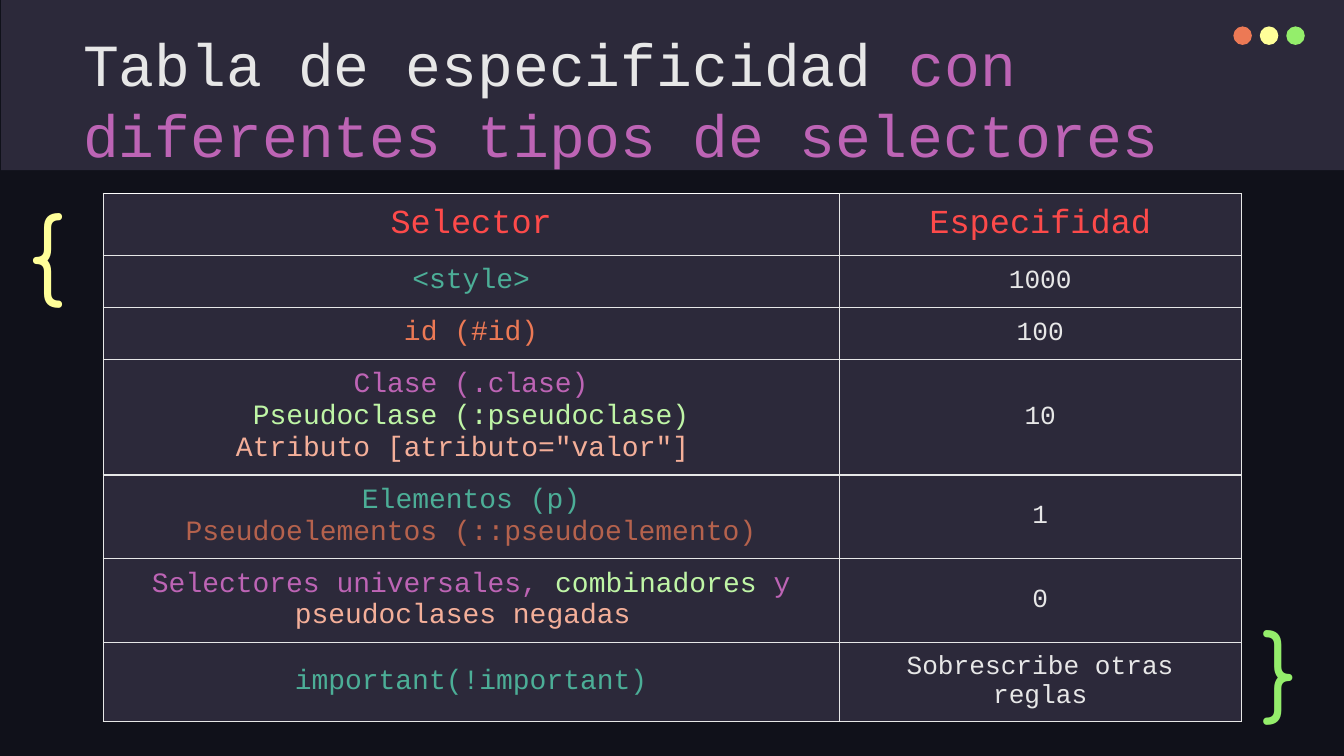
from lxml.etree import SubElement
from pptx import Presentation
from pptx.dml.color import RGBColor
from pptx.enum.shapes import MSO_SHAPE as Shape
from pptx.enum.text import MSO_ANCHOR as Anchor, MSO_AUTO_SIZE as AutoSize, PP_ALIGN as Align
from pptx.oxml.ns import qn
from pptx.util import Cm, Pt

COLORS = {
    "background": "10111A", "panel": "2C293A", "light": "E7E7E7", "red": "FD4A4A",
    "teal": "4CAE97", "orange": "EC7955", "purple": "BD64B5", "mint": "BFF5A6",
    "peach": "F4AF99", "brown": "B5624D", "yellow": "FFFF99", "green": "94EE6B",
}
CODE_FONT, BRACE_FONT = "Courier New", "Comfortaa"

TITLE = [("Tabla de especificidad ", "light"), ("con diferentes tipos de selectores", "purple")]
HEADERS = ["Selector", "Especifidad"]
# Row height, selector paragraphs made of (text, color) runs, specificity
ROWS = [
    (0.79, [[("<style>", "teal")]], "1000"),
    (0.79, [[("id (#id)", "orange")]], "100"),
    (1.8, [[("Clase (.clase)", "purple")],
           [("Pseudoclase (:pseudoclase)", "mint")],
           [('Atributo [atributo="valor"] ', "peach")]], "10"),
    (1.3, [[("Elementos (p)", "teal")],
           [("Pseudoelementos (::pseudoelemento)", "brown")]], "1"),
    (1.3, [[("Selectores universales, ", "purple"), ("combinadores", "mint"),
            (" y ", "purple"), ("pseudoclases negadas ", "peach")]], "0"),
    (1.17, [[("important(!important)", "teal")]], "Sobrescribe otras reglas"),
]
HEADER_HEIGHT = 1.17
COLUMN_WIDTHS = [13.91, 7.6]
TABLE_BOX = (1.95, 3.66, 21.5, 10.36)
TITLE_BOX = (1.32, 0.25, 22.76, 2.97)
BRACES = [("{", "yellow", (0.29, 3.4, 1.96, 2.41)), ("}", "green", (23.61, 11.28, 1.45, 2.11))]
DOTS = ["orange", "yellow", "green"]
DOT_LEFT, DOT_TOP, DOT_SIZE, DOT_STEP = 23.31, 0.5, 0.35, 0.5


def rgb(color):
    return RGBColor.from_string(COLORS[color])


def lengths(box):
    return [Cm(value) for value in box]


def set_attributes(target, values):
    for name, value in values.items():
        setattr(target, name, value)


def write(text_frame, paragraphs, size, font=CODE_FONT, align=Align.LEFT):
    for index, runs in enumerate(paragraphs):
        paragraph = text_frame.add_paragraph() if index else text_frame.paragraphs[0]
        paragraph.alignment = align
        for text, color in runs:
            run = paragraph.add_run()
            run.text = text
            set_attributes(run.font, {"size": Pt(size), "name": font})
            run.font.color.rgb = rgb(color)


def add_filled(shapes, preset, box, color):
    shape = shapes.add_shape(preset, *lengths(box))
    shape.fill.solid()
    shape.fill.fore_color.rgb = rgb(color)
    shape.line.fill.background()
    shape.shadow.inherit = False


def add_borders(cell, sides):
    """Borders must come before the fill inside the cell properties."""
    properties = cell._tc.get_or_add_tcPr()
    for side in sides:
        line = SubElement(properties, qn(f"a:ln{side}"), w=str(Pt(0.75)))
        fill = SubElement(line, qn("a:solidFill"))
        SubElement(fill, qn("a:srgbClr"), val=COLORS["light"])


def fill_cell(cell, paragraphs, size, sides="LRTB"):
    add_borders(cell, sides)
    cell.fill.solid()
    cell.fill.fore_color.rgb = rgb("panel")
    set_attributes(cell, {
        "vertical_anchor": Anchor.MIDDLE, "margin_left": Cm(0.25), "margin_right": Cm(0.25),
        "margin_top": Cm(0.19), "margin_bottom": Cm(0.19),
    })
    write(cell.text_frame, paragraphs, size, align=Align.CENTER)


def add_selector_table(slide):
    frame = slide.shapes.add_table(len(ROWS) + 1, len(HEADERS), *lengths(TABLE_BOX))
    table = frame.table
    set_attributes(table, {"first_row": False, "horz_banding": False})
    for column, width in zip(table.columns, COLUMN_WIDTHS):
        column.width = Cm(width)
    for row, height in zip(table.rows, [HEADER_HEIGHT] + [row[0] for row in ROWS]):
        row.height = Cm(height)
    frame.height = Cm(TABLE_BOX[3])

    for column, (header, sides) in enumerate(zip(HEADERS, ["LRB", "LRTB"])):
        fill_cell(table.cell(0, column), [[(header, "red")]], 18, sides)
    for index, (_, selector, specificity) in enumerate(ROWS, start=1):
        fill_cell(table.cell(index, 0), selector, 15)
        fill_cell(table.cell(index, 1), [[(specificity, "light")]], 14)


def format_frame(text_frame, bottom=0.25):
    set_attributes(text_frame, {
        "word_wrap": True, "auto_size": AutoSize.NONE, "vertical_anchor": Anchor.TOP,
        "margin_left": Cm(0.25), "margin_right": Cm(0.25),
        "margin_top": Cm(0.25), "margin_bottom": Cm(bottom),
    })


def main():
    presentation = Presentation()
    set_attributes(presentation, {"slide_width": Cm(25.4), "slide_height": Cm(14.29)})
    slide = presentation.slides.add_slide(presentation.slide_layouts[5])
    slide.background.fill.solid()
    slide.background.fill.fore_color.rgb = rgb("background")

    add_filled(slide.shapes, Shape.RECTANGLE, (0.02, 0, 25.4, 3.22), "panel")
    dots = slide.shapes.add_group_shape()
    for index, color in enumerate(DOTS):
        box = (DOT_LEFT + index * DOT_STEP, DOT_TOP, DOT_SIZE, DOT_SIZE)
        add_filled(dots.shapes, Shape.OVAL, box, color)

    add_selector_table(slide)

    for brace, color, box in BRACES:
        text_frame = slide.shapes.add_textbox(*lengths(box)).text_frame
        format_frame(text_frame)
        write(text_frame, [[(brace, color)]], 50, BRACE_FONT)

    title = slide.shapes.title
    set_attributes(title, dict(zip(["left", "top", "width", "height"], lengths(TITLE_BOX))))
    format_frame(title.text_frame, bottom=0)
    write(title.text_frame, [TITLE], 32)
    title.text_frame.paragraphs[0].space_before = Pt(0)
    title.text_frame.paragraphs[0].line_spacing = 1.0
    slide.shapes._spTree.append(title._element)  # bring in front of the header bar

    presentation.save("out.pptx")


if __name__ == "__main__":
    main()
